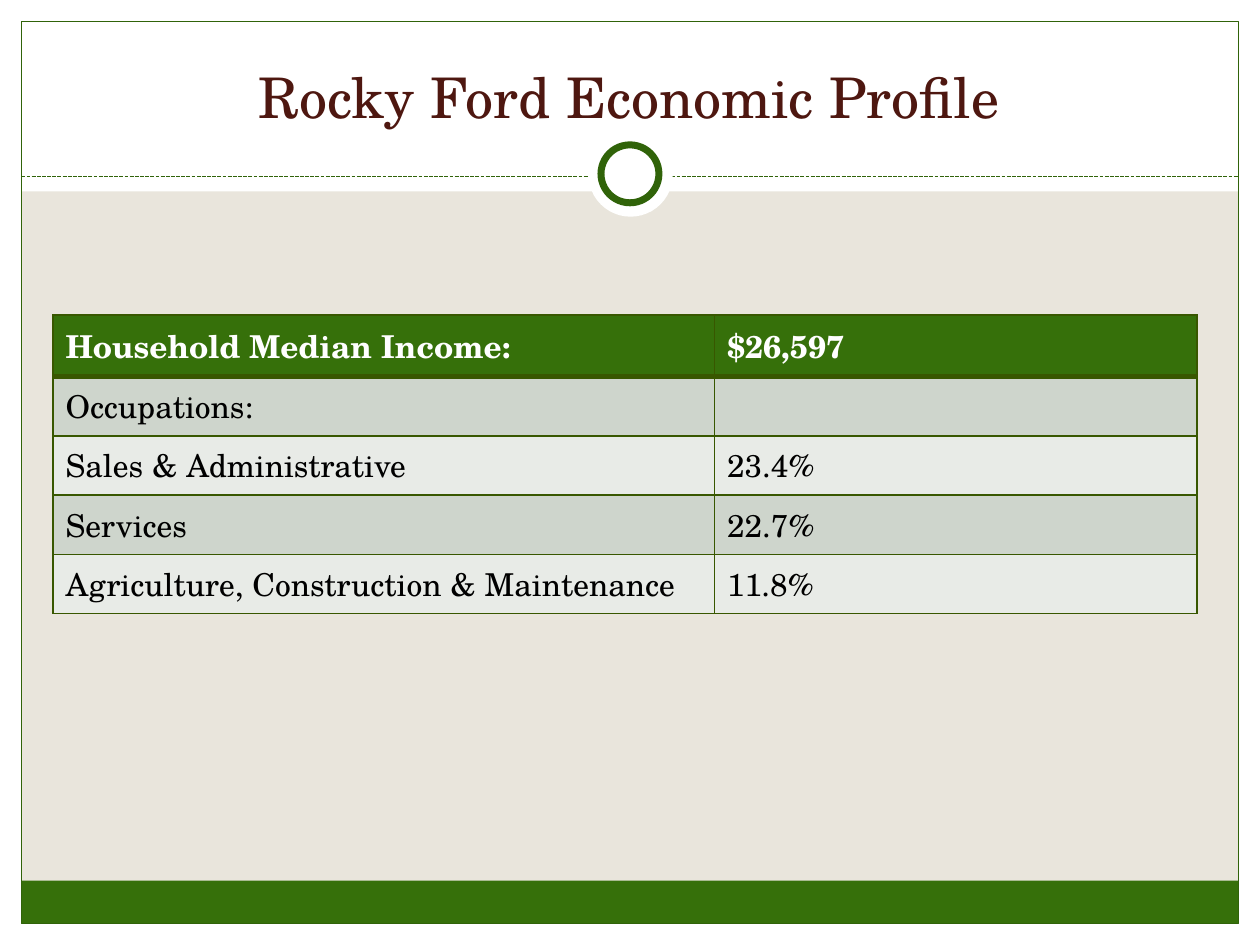
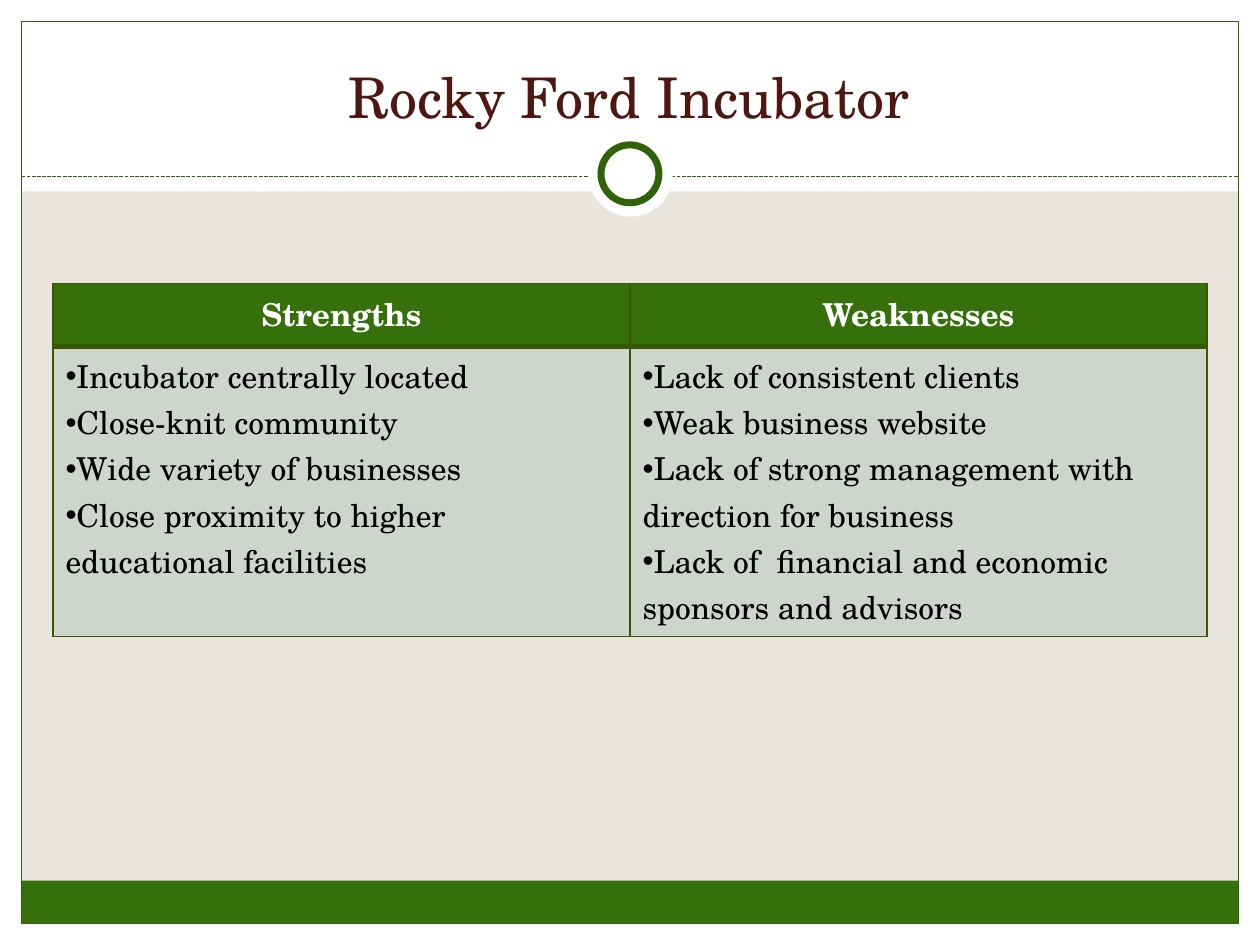
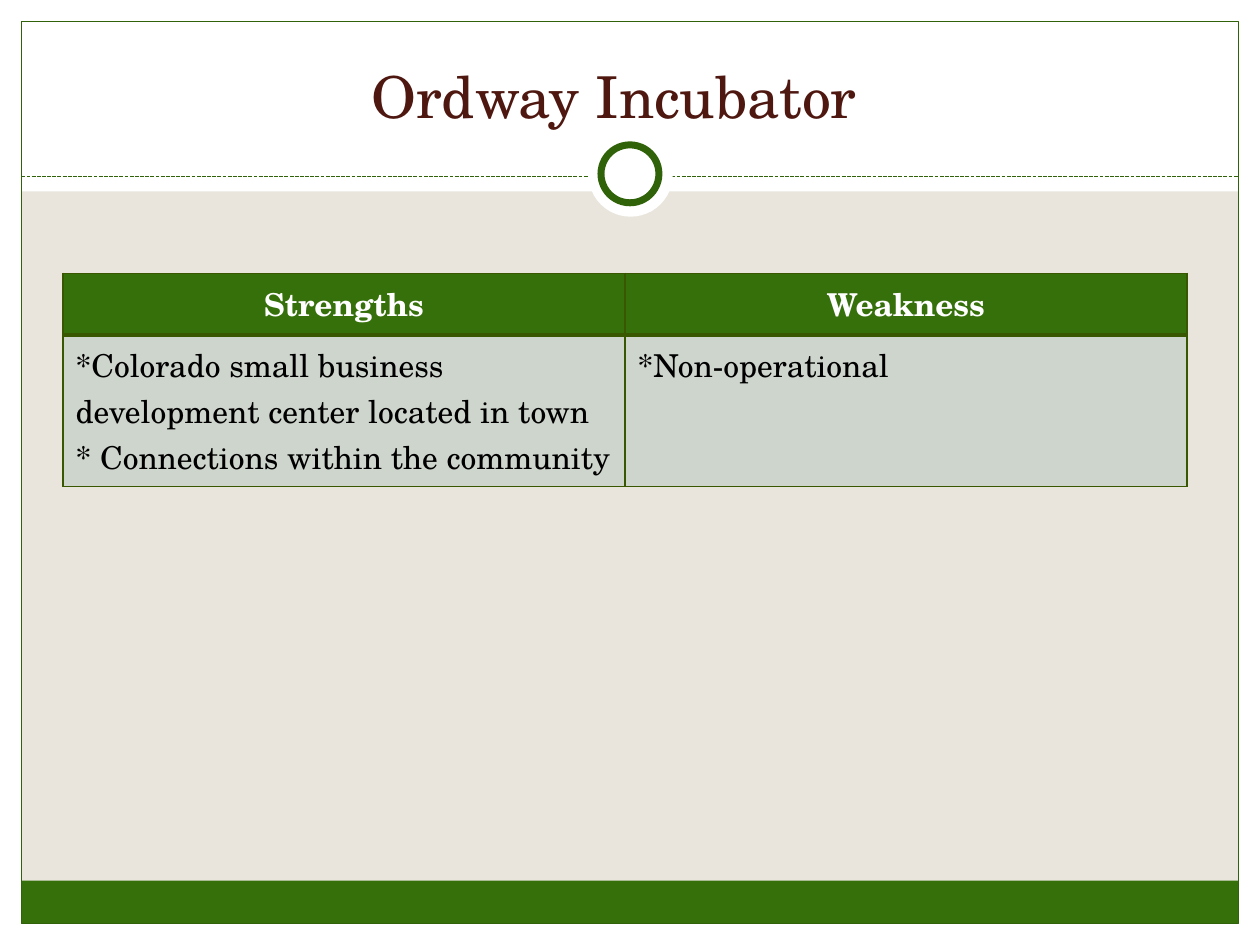
from dataclasses import dataclass

from lxml.etree import SubElement
from pptx import Presentation
from pptx.dml.color import RGBColor
from pptx.enum.dml import MSO_LINE
from pptx.enum.shapes import MSO_CONNECTOR, MSO_SHAPE
from pptx.enum.text import MSO_ANCHOR, PP_ALIGN
from pptx.oxml.ns import qn
from pptx.util import Inches, Pt

FONT, BULLET_FONT = "TeX Gyre Schola", "Arial"
WHITE, BLACK, SAND = "FFFFFF", "000000", "E9E5DC"
GREEN, DARK_GREEN, BORDER_GREEN = "36700A", "306309", "385700"
TITLE_BROWN = "4E1710"
BANDS = ("CED5CC", "E8EBE7")
RECT, OVAL = MSO_SHAPE.RECTANGLE, MSO_SHAPE.OVAL


@dataclass(frozen=True)
class Panel:
    box: tuple[float, float, float, float]
    fill: str | None = None
    line_width: float | None = None
    preset: MSO_SHAPE = RECT


@dataclass(frozen=True)
class TablePage:
    title: str
    left: float
    top: float
    columns: tuple[float, ...]
    rows: tuple[float, ...]
    cells: tuple[tuple[tuple[str, ...], ...], ...]
    title_width: float = 9.33
    title_size: int = 32
    header_align: PP_ALIGN = PP_ALIGN.LEFT
    bullet: str | None = None


# White margins, footer band and outer frame, then the ring over the dashed rule
FRAME = (
    Panel((0, 7.33, 10, 0.17), WHITE),
    Panel((0, 0, 10, 1.52), WHITE),
    Panel((0, 0, 0.17, 7.5), WHITE),
    Panel((9.83, 0, 0.17, 7.5), WHITE),
    Panel((0.17, 6.99, 9.66, 0.34), GREEN),
    Panel((0.17, 0.17, 9.66, 7.16), line_width=0.75),
)
RING = (
    Panel((4.67, 1.05, 0.67, 0.67), WHITE, preset=OVAL),
    Panel((4.77, 1.15, 0.46, 0.46), WHITE, 4, OVAL),
)

# Row heights leave room for every line of text at this font's line height
PAGES = (
    TablePage(
        "Rocky Ford Economic Profile", 0.42, 2.5, (5.25, 3.83), (0.49,) + (0.47,) * 4,
        (
            (("Household Median Income:",), ("$26,597",)),
            (("Occupations:",), ("",)),
            (("Sales & Administrative",), ("23.4%",)),
            (("Services",), ("22.7%",)),
            (("Agriculture, Construction & Maintenance",), ("11.8%",)),
        ),
    ),
    TablePage(
        "Rocky Ford Incubator", 0.42, 2.25, (4.58, 4.58), (0.5, 2.3),
        (
            (("Strengths",), ("Weaknesses",)),
            (
                (
                    "Incubator centrally located",
                    "Close-knit community",
                    "Wide variety of businesses",
                    "Close proximity to higher educational facilities",
                ),
                (
                    "Lack of consistent clients",
                    "Weak business website",
                    "Lack of strong management with direction for business",
                    "Lack of  financial and economic sponsors and advisors",
                ),
            ),
        ),
        header_align=PP_ALIGN.CENTER, bullet="•",
    ),
    TablePage(
        "Ordway Incubator", 0.5, 2.17, (4.46, 4.46), (0.49, 1.2),
        (
            (("Strengths",), ("Weakness",)),
            (
                (
                    "*Colorado small business development center located in town",
                    "* Connections within the community",
                ),
                ("*Non-operational",),
            ),
        ),
        title_width=9.09, title_size=33, header_align=PP_ALIGN.CENTER,
    ),
)


def rgb(color: str) -> RGBColor:
    return RGBColor.from_string(color)


def set_fill(fill, color: str) -> None:
    fill.solid()
    fill.fore_color.rgb = rgb(color)


def style(paragraph, size: float, color: str, align: PP_ALIGN, bold: bool = False) -> None:
    paragraph.alignment = align
    font = paragraph.font
    font.name, font.size, font.bold = FONT, Pt(size), bold
    font.color.rgb = rgb(color)


def add_panel(slide, panel: Panel) -> None:
    shape = slide.shapes.add_shape(panel.preset, *map(Inches, panel.box))
    shape.shadow.inherit = False
    if panel.fill:
        set_fill(shape.fill, panel.fill)
    else:
        shape.fill.background()
    if panel.line_width:
        shape.line.color.rgb = rgb(DARK_GREEN)
        shape.line.width = Pt(panel.line_width)
    else:
        shape.line.fill.background()


def add_dashed_rule(slide) -> None:
    rule = slide.shapes.add_connector(
        MSO_CONNECTOR.STRAIGHT, Inches(0.17), Inches(1.4), Inches(9.83), Inches(1.4))
    rule.line.color.rgb = rgb(DARK_GREEN)
    rule.line.width = Pt(0.75)
    rule.line.dash_style = MSO_LINE.SQUARE_DOT
    SubElement(rule._element.spPr, qn("a:effectLst"))


def add_title(slide, page: TablePage) -> None:
    box = slide.shapes.add_textbox(
        Inches(0.33), Inches(0.25), Inches(page.title_width), Inches(0.83))
    frame = box.text_frame
    frame.word_wrap = True
    frame.vertical_anchor = MSO_ANCHOR.BOTTOM
    frame.text = page.title
    style(frame.paragraphs[0], page.title_size, TITLE_BROWN, PP_ALIGN.CENTER)


def add_borders(cell, top: float, bottom: float) -> None:
    properties = cell._tc.get_or_add_tcPr()
    for side, width in (("L", 1), ("R", 1), ("T", top), ("B", bottom)):
        line = SubElement(properties, qn(f"a:ln{side}"), w=str(Pt(width)))
        solid = SubElement(line, qn("a:solidFill"))
        SubElement(solid, qn("a:srgbClr"), val=BORDER_GREEN)


def fill_cell(cell, lines: tuple[str, ...], row: int, page: TablePage) -> None:
    is_header = row == 0
    # The rule between header and body is the heavy one
    add_borders(cell, top=3 if row == 1 else 1, bottom=3 if is_header else 1)
    set_fill(cell.fill, GREEN if is_header else BANDS[(row - 1) % 2])
    cell.text_frame.text = "\n".join(lines)
    for paragraph in cell.text_frame.paragraphs:
        if page.bullet and not is_header:
            properties = paragraph._p.get_or_add_pPr()
            SubElement(properties, qn("a:buFont"), typeface=BULLET_FONT)
            SubElement(properties, qn("a:buChar"), char=page.bullet)
        style(paragraph, 18, WHITE if is_header else BLACK,
              page.header_align if is_header else PP_ALIGN.LEFT, is_header)


def add_page_table(slide, page: TablePage) -> None:
    table = slide.shapes.add_table(
        len(page.rows), len(page.columns), Inches(page.left), Inches(page.top),
        Inches(sum(page.columns)), Inches(sum(page.rows))).table
    table.first_row = table.horz_banding = False
    for column, width in zip(table.columns, page.columns):
        column.width = Inches(width)
    for row, height in enumerate(page.rows):
        table.rows[row].height = Inches(height)
        for column, lines in enumerate(page.cells[row]):
            fill_cell(table.cell(row, column), lines, row, page)


def main() -> None:
    presentation = Presentation()
    presentation.slide_width, presentation.slide_height = Inches(10), Inches(7.5)
    for page in PAGES:
        slide = presentation.slides.add_slide(presentation.slide_layouts[6])
        set_fill(slide.background.fill, SAND)
        for panel in FRAME:
            add_panel(slide, panel)
        add_dashed_rule(slide)
        for panel in RING:
            add_panel(slide, panel)
        add_title(slide, page)
        add_page_table(slide, page)
    presentation.save("out.pptx")


if __name__ == "__main__":
    main()
